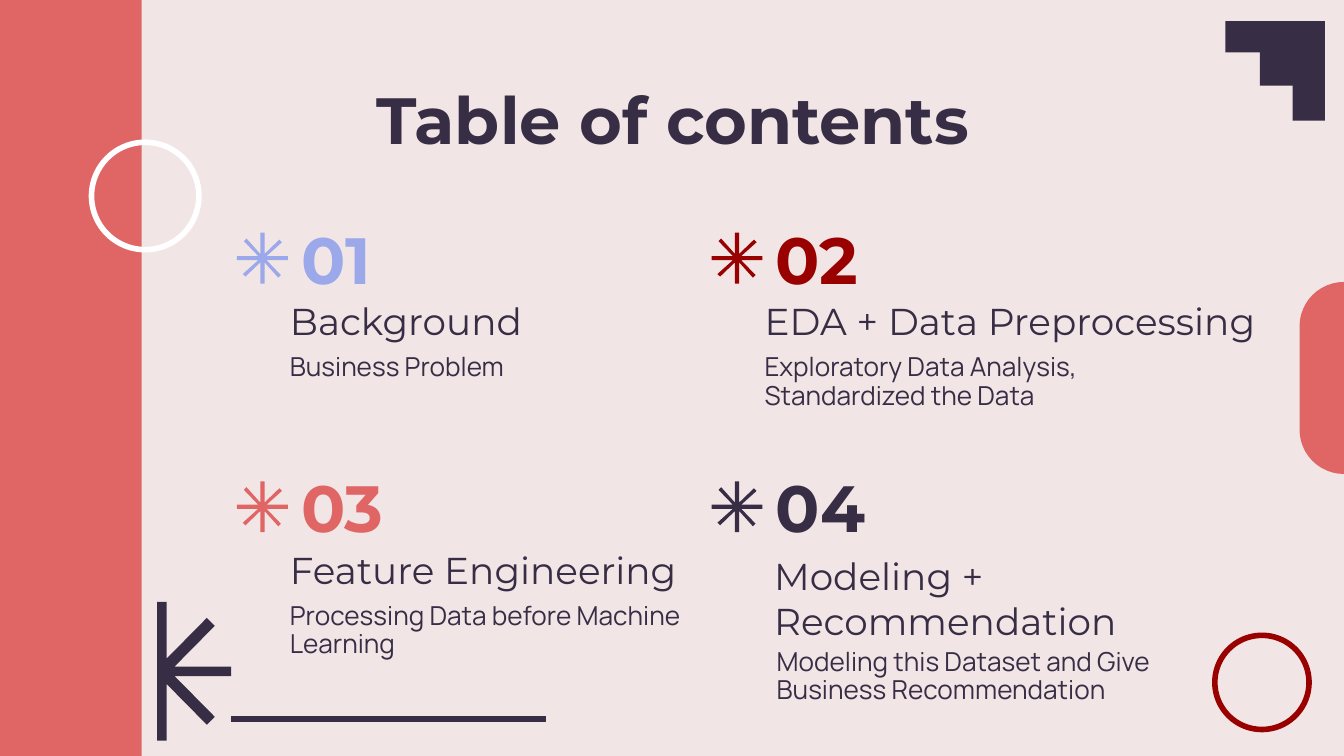
"""Build the "Table of contents" slide with four numbered entries."""
from dataclasses import dataclass

from lxml.etree import SubElement
from pptx import Presentation
from pptx.dml.color import RGBColor
from pptx.enum.shapes import MSO_CONNECTOR as Connector, MSO_SHAPE as Preset
from pptx.enum.text import MSO_ANCHOR as Anchor, PP_ALIGN as Align
from pptx.oxml.ns import qn
from pptx.shapes.autoshape import Shape
from pptx.slide import Slide
from pptx.util import Cm, Pt

BLUSH = RGBColor(0xF2, 0xE5, 0xE5)
CORAL = RGBColor(0xE0, 0x66, 0x66)
PLUM = RGBColor(0x37, 0x2E, 0x46)
CRIMSON = RGBColor(0x99, 0x00, 0x00)
PERIWINKLE = RGBColor(0x9B, 0xA8, 0xE9)
WHITE = RGBColor(0xFF, 0xFF, 0xFF)

COLUMN_STEP, ROW_STEP = 8.97, 4.7
Points = list[tuple[float, float]]

STAIRS: Points = [(25.04, 2.28), (25.04, 0.4), (23.16, 0.4), (23.16, 0.99),
                  (23.81, 0.99), (23.81, 1.62), (24.43, 1.62), (24.43, 2.28)]
HALF_BURST: Points = [(0, -1.31), (0.18, -1.31), (0.18, -0.24), (0.94, -1.01),
                      (1.09, -0.86), (0.33, -0.09), (1.4, -0.09)]
STAR_QUARTER: Points = [(-0.04, -0.48), (0.04, -0.48), (0.04, -0.08),
                        (0.32, -0.35), (0.37, -0.3), (0.08, -0.04)]


@dataclass(frozen=True)
class Style:
    font: str
    size: float
    color: RGBColor = PLUM
    bold: bool = False
    spacing: float = 1.0


@dataclass(frozen=True)
class Entry:
    number: str
    heading: str
    body: str
    color: RGBColor
    column: int
    row: int
    heading_width: float = 7.98
    heading_shift: tuple[float, float] = (0, 0)
    body_shift: tuple[float, float] = (0, 0)


HEADING = Style("Montserrat", 20)
BODY = Style("Manrope", 14, spacing=0.9)
ENTRIES = [
    Entry("01", "Background", "Business Problem", PERIWINKLE, 0, 0),
    Entry("02", "EDA + Data Preprocessing",
          "Exploratory Data Analysis, Standardized the Data", CRIMSON, 1, 0, 10.34),
    Entry("03", "Feature Engineering",
          "Processing Data before Machine Learning", CORAL, 0, 1),
    Entry("04", "Modeling + Recommendation",
          "Modeling this Dataset and Give Business Recommendation", PLUM, 1, 1,
          10.97, (0.18, 0.96), (0.23, 0.86)),
]


def paint(shape: Shape, color: RGBColor) -> None:
    shape.shadow.inherit = False
    shape.fill.solid()
    shape.fill.fore_color.rgb = color
    shape.line.fill.background()


def add_outline(page: Slide, points: Points, color: RGBColor,
                x: float = 0, y: float = 0) -> None:
    corners = [(Cm(x + across), Cm(y + down)) for across, down in points]
    builder = page.shapes.build_freeform(*corners[0], scale=1.0)
    builder.add_line_segments(corners[1:], close=True)
    paint(builder.convert_to_shape(), color)


def add_block(page: Slide, preset: Preset, left: float, top: float,
              width: float, height: float, color: RGBColor) -> Shape:
    block = page.shapes.add_shape(preset, Cm(left), Cm(top), Cm(width), Cm(height))
    paint(block, color)
    return block


def add_ring(page: Slide, left: float, top: float, size: float, color: RGBColor) -> None:
    ring = add_block(page, Preset.OVAL, left, top, size, size, color)
    ring.fill.background()
    ring.line.color.rgb = color
    ring.line.width = Pt(3)


def add_rule(page: Slide, left: float, right: float, y: float) -> None:
    rule = page.shapes.add_connector(Connector.STRAIGHT, Cm(left), Cm(y), Cm(right), Cm(y))
    rule.line.color.rgb = PLUM
    rule.line.width = Pt(3)
    SubElement(rule._element.spPr, qn("a:effectLst"))


def add_text(page: Slide, text: str, style: Style, left: float, top: float,
             width: float, height: float, anchor: Anchor = Anchor.TOP,
             align: Align = Align.LEFT) -> None:
    box = page.shapes.add_textbox(Cm(left), Cm(top), Cm(width), Cm(height))
    frame = box.text_frame
    frame.word_wrap = True
    frame.vertical_anchor = anchor
    frame.margin_left = frame.margin_right = Cm(0.25)
    frame.margin_top = frame.margin_bottom = Cm(0.25)
    para = frame.paragraphs[0]
    para.alignment = align
    para.line_spacing = style.spacing
    span = para.add_run()
    span.text = text
    span.font.name = style.font
    span.font.size = Pt(style.size)
    span.font.bold = style.bold
    span.font.color.rgb = style.color


def add_star(page: Slide, x: float, y: float, color: RGBColor) -> None:
    points: Points = []
    quarter = STAR_QUARTER
    for _ in range(4):
        points += quarter
        quarter = [(-down, across) for across, down in quarter]
    add_outline(page, points, color, x, y)


def add_entry(page: Slide, entry: Entry) -> None:
    x, y = entry.column * COLUMN_STEP, entry.row * ROW_STEP
    heading_x, heading_y = entry.heading_shift
    body_x, body_y = entry.body_shift
    add_star(page, x + 4.96, y + 4.88, entry.color)
    add_text(page, entry.number, Style("Montserrat", 35, entry.color, True),
             x + 5.44, y + 3.99, 2.34, 1.78, Anchor.MIDDLE)
    add_text(page, entry.heading, HEADING, x + 5.23 + heading_x, y + 5.72 + heading_y,
             entry.heading_width, 1.02, Anchor.BOTTOM)
    add_text(page, entry.body, BODY, x + 5.23 + body_x, y + 6.45 + body_y, 7.98, 1.35)


def main() -> None:
    deck = Presentation()
    deck.slide_width, deck.slide_height = Cm(25.4), Cm(14.29)
    page = deck.slides.add_slide(deck.slide_layouts[6])
    page.background.fill.solid()
    page.background.fill.fore_color.rgb = BLUSH

    add_block(page, Preset.RECTANGLE, -0.05, -0.05, 2.73, 14.4, CORAL)
    add_outline(page, STAIRS, PLUM)
    mirrored = [(across, -down) for across, down in reversed(HALF_BURST)]
    add_outline(page, HALF_BURST + mirrored, PLUM, 2.97, 12.69)
    add_rule(page, 4.37, 10.31, 13.59)
    add_ring(page, 22.96, 12.01, 1.78, CRIMSON)
    tab = add_block(page, Preset.ROUNDED_RECTANGLE, 24.56, 5.33, 1.68, 3.63, CORAL)
    tab.adjustments[0] = 0.5

    add_text(page, "Table of contents", Style("Montserrat", 35, bold=True),
             2.01, 1.24, 21.41, 1.6, align=Align.CENTER)
    for entry in ENTRIES:
        add_entry(page, entry)
    add_ring(page, 1.73, 2.69, 2.03, WHITE)
    deck.save("out.pptx")


if __name__ == "__main__":
    main()
